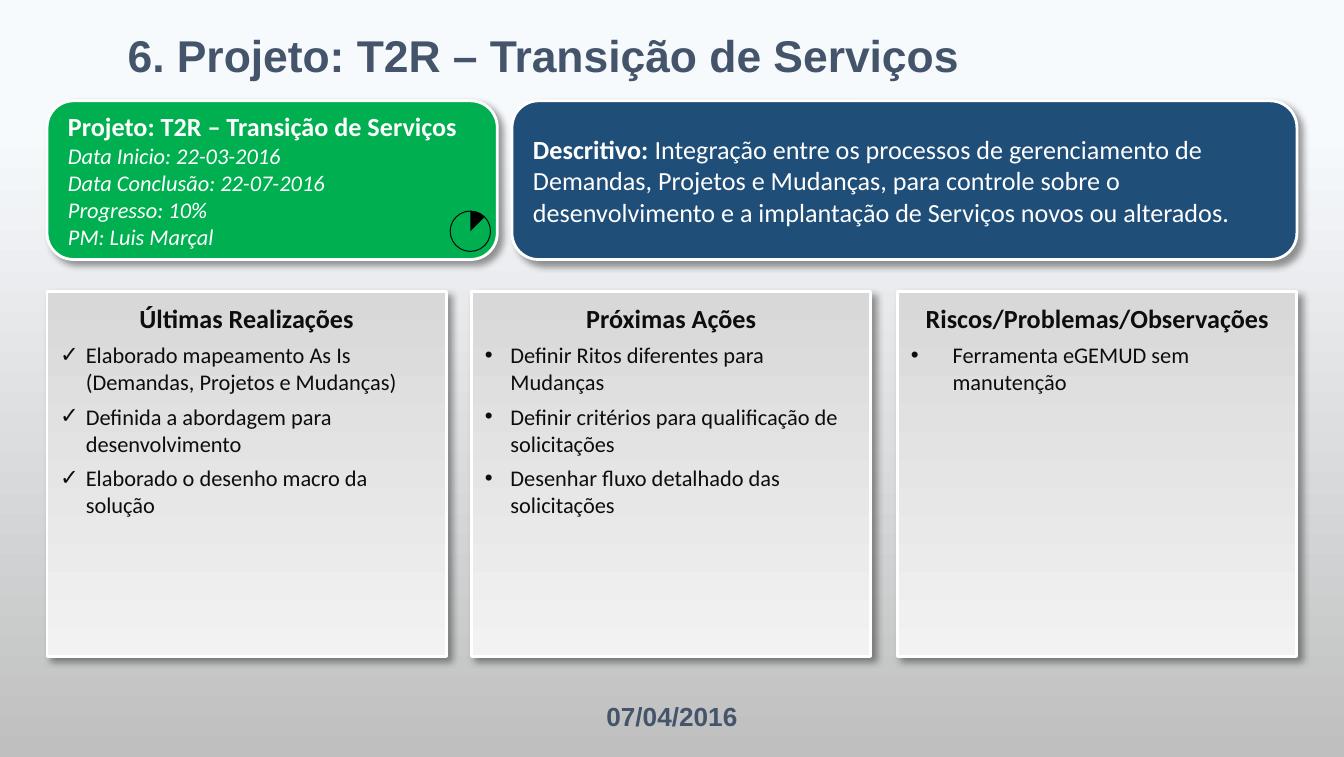
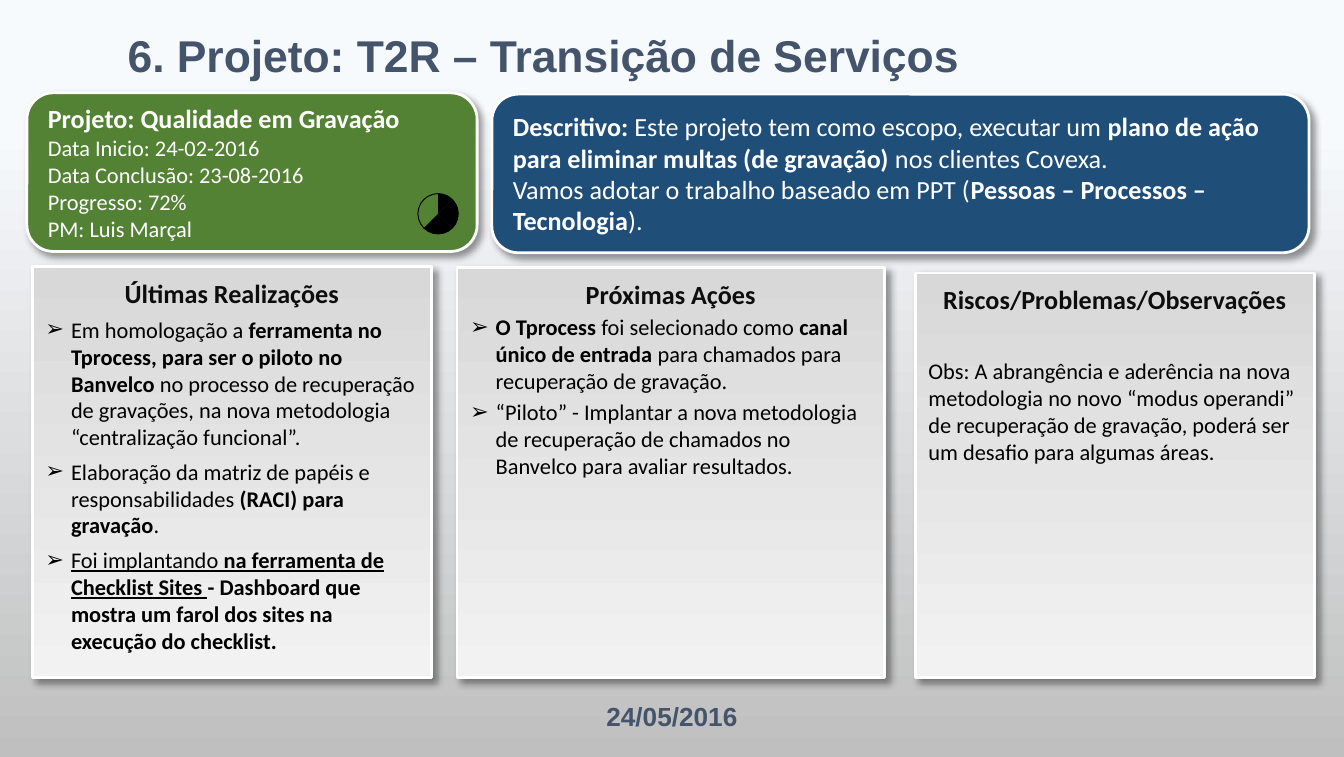
from math import cos, radians, sin

from lxml import etree
from pptx import Presentation
from pptx.dml.color import RGBColor
from pptx.enum.shapes import MSO_SHAPE
from pptx.enum.text import MSO_ANCHOR, PP_ALIGN
from pptx.oxml.ns import qn
from pptx.util import Inches, Pt

RECT, ROUND, OVAL = MSO_SHAPE.RECTANGLE, MSO_SHAPE.ROUNDED_RECTANGLE, MSO_SHAPE.OVAL
TOP, MIDDLE = MSO_ANCHOR.TOP, MSO_ANCHOR.MIDDLE
LEFT, CENTER = PP_ALIGN.LEFT, PP_ALIGN.CENTER

WHITE = RGBColor(0xFF, 0xFF, 0xFF)
BLACK = RGBColor(0x00, 0x00, 0x00)
INK = RGBColor(0x0D, 0x0D, 0x0D)
SLATE = RGBColor(0x44, 0x54, 0x6A)
NAVY = RGBColor(0x1F, 0x4E, 0x79)
GREEN = RGBColor(0x00, 0xB0, 0x50)
OLIVE = RGBColor(0x54, 0x82, 0x35)
BACKDROP = [(0.17, RGBColor(0xF7, 0xFA, 0xFD)), (1, RGBColor(0xBF, 0xBF, 0xBF))]
CARD_FILL = [(0, RGBColor(0xD8, 0xD8, 0xD8)), (1, RGBColor(0xF2, 0xF2, 0xF2))]

TITLE = "6. Projeto: T2R – Transição de Serviços"
TITLE_BOX = (0.62, 0.1, 6.84, 0.61)
DATE_BOX = (0, 5.02, 10, 0.61)
CARD_TITLES = ["Últimas Realizações", "Próximas Ações", "Riscos/Problemas/Observações"]
HEAD_SIZE, BODY_SIZE = 14, 12
GAP = 2            # points above and below each card paragraph
BALL = 0.3         # diameter of the progress ball
SLICE = 45         # degrees in one slice of the ball

# Content: a text is a list of (words, style) runs, style being any of b, i, u
SLIDES = [
    {
        "date": "07/04/2016",
        "project": {
            "box": (0.35, 0.75, 3.35, 1.18), "fill": GREEN, "style": "i",
            "name": "Projeto: T2R – Transição de Serviços",
            "facts": ["Data Inicio: 22-03-2016", "Data Conclusão: 22-07-2016",
                      "Progresso: 10%", "PM: Luis Marçal"],
        },
        "about": {
            "box": (3.81, 0.75, 5.84, 1.18),
            "texts": [[("Descritivo: ", "b"),
                       ("Integração entre os processos de gerenciamento de Demandas, "
                        "Projetos e Mudanças, para controle sobre o desenvolvimento e a "
                        "implantação de Serviços novos ou alterados.", "")]],
        },
        "ball": {"at": (3.35, 1.57), "slices": 1},
        "ink": INK,
        "cards": [
            {"box": (0.35, 2.17, 2.97, 2.71), "bullet": "✓", "indent": 0.19, "texts": [
                [("Elaborado mapeamento As Is (Demandas, Projetos e Mudanças)", "")],
                [("Definida a abordagem para desenvolvimento", "")],
                [("Elaborado o desenho macro da solução", "")]]},
            {"box": (3.51, 2.17, 2.97, 2.71), "bullet": "•", "indent": 0.19, "texts": [
                [("Definir Ritos diferentes para Mudanças", "")],
                [("Definir critérios para qualificação de solicitações", "")],
                [("Desenhar fluxo detalhado das solicitações", "")]]},
            {"box": (6.68, 2.17, 2.97, 2.71), "bullet": "•", "indent": 0.31, "texts": [
                [("Ferramenta eGEMUD sem manutenção", "")]]},
        ],
    },
    {
        "date": "24/05/2016",
        "project": {
            "box": (0.2, 0.69, 3.35, 1.18), "fill": OLIVE, "style": "",
            "name": "Projeto: Qualidade em Gravação",
            "facts": ["Data Inicio: 24-02-2016", "Data Conclusão: 23-08-2016",
                      "Progresso: 72%", "PM: Luis Marçal"],
        },
        "about": {
            "box": (3.66, 0.7, 6.08, 1.18),
            "texts": [
                [("Descritivo: ", "b"),
                 ("Este projeto tem como escopo, executar um ", ""),
                 ("plano de ação para eliminar multas (de gravação)", "b"),
                 (" nos clientes Covexa.", "")],
                [("Vamos adotar o trabalho baseado em PPT (", ""),
                 ("Pessoas – Processos – Tecnologia", "b"), (").", "")]],
        },
        "ball": {"at": (3.11, 1.44), "slices": 5},
        "ink": BLACK,
        "cards": [
            {"box": (0.24, 1.98, 2.97, 3.06), "bullet": "➢", "indent": 0.19, "texts": [
                [("Em homologação a ", ""),
                 ("ferramenta no Tprocess, para ser o piloto no Banvelco ", "b"),
                 ("no processo de recuperação de gravações, na nova metodologia "
                  "“centralização funcional”.", "")],
                [("Elaboração da matriz de papéis e responsabilidades ", ""),
                 ("(RACI) para gravação", "b"), (".", "")],
                [("Foi implantando ", "u"), ("na ferramenta de Checklist Sites ", "bu"),
                 ("- Dashboard que mostra um farol dos sites na execução do checklist.",
                  "b")]]},
            {"box": (3.4, 1.99, 3.18, 3.05), "bullet": "➢", "indent": 0.19,
             "first_gap": (0, 0), "texts": [
                [("O Tprocess ", "b"), ("foi selecionado como ", ""),
                 ("canal único de entrada ", "b"),
                 ("para chamados para recuperação de gravação.", "")],
                [("“Piloto” - Implantar a nova metodologia de recuperação de chamados no "
                  "Banvelco para avaliar resultados.", "")]]},
            {"box": (6.81, 2.03, 2.97, 3.01), "first_gap": (20.6, GAP), "texts": [
                [("Obs: A abrangência e aderência na nova metodologia no novo “modus "
                  "operandi” de recuperação de gravação, poderá ser um desafio para "
                  "algumas áreas.", "")]]},
        ],
    },
]


def set_gradient(fill, stops):
    fill.gradient()
    fill.gradient_angle = 270
    for stop, (position, color) in zip(fill.gradient_stops, stops):
        stop.position = position
        stop.color.rgb = color


def add_shadow(sp):
    sp.shadow.inherit = False
    effects = sp._element.spPr.find(qn("a:effectLst"))
    shadow = etree.SubElement(effects, qn("a:outerShdw"), blurRad=str(Pt(4)),
                              dist=str(Pt(3)), dir=str(45 * 60000), rotWithShape="0")
    color = etree.SubElement(shadow, qn("a:srgbClr"), val=str(BLACK))
    etree.SubElement(color, qn("a:alpha"), val="40000")


def add_panel(s, kind, box, anchor):
    """White-edged panel with a soft shadow; returns its shape."""
    sp = s.shapes.add_shape(kind, *map(Inches, box))
    add_shadow(sp)
    sp.line.color.rgb = WHITE
    sp.line.width = Pt(1.5)
    sp.text_frame.word_wrap = True
    sp.text_frame.vertical_anchor = anchor
    return sp


def add_bullet(p, char, indent):
    pPr = p._p.get_or_add_pPr()
    pPr.set("marL", str(Inches(indent)))
    pPr.set("indent", str(-Inches(indent)))
    etree.SubElement(pPr, qn("a:buFont"), typeface="Arial")
    etree.SubElement(pPr, qn("a:buChar"), char=char)


def write(tf, runs, size, color, align=LEFT, font="Calibri", gap=(0, 0)):
    """Append one paragraph, using the empty first one when there is one."""
    p = tf.paragraphs[0] if not tf.paragraphs[0].runs else tf.add_paragraph()
    p.alignment = align
    p.space_before, p.space_after = map(Pt, gap)
    for words, style in runs:
        r = p.add_run()
        r.text = words
        look = {"name": font, "size": Pt(size), "bold": "b" in style,
                "italic": "i" in style, "underline": "u" in style}
        for key, value in look.items():
            setattr(r.font, key, value)
        r.font.color.rgb = color
    return p


def add_label(s, box, words, size):
    tf = s.shapes.add_textbox(*map(Inches, box)).text_frame
    tf.word_wrap = True
    tf.vertical_anchor = MIDDLE
    write(tf, [(words, "b")], size, SLATE, CENTER, "Arial")


def add_card(s, title, card, ink):
    sp = add_panel(s, RECT, card["box"], TOP)
    set_gradient(sp.fill, CARD_FILL)
    tf = sp.text_frame
    tf.margin_top = Inches(0.08)
    write(tf, [(title, "b")], HEAD_SIZE, INK, CENTER, gap=(0, GAP))
    for i, runs in enumerate(card["texts"]):
        gap = card.get("first_gap", (GAP, GAP)) if i == 0 else (GAP, GAP)
        p = write(tf, runs, BODY_SIZE, ink, gap=gap)
        if "bullet" in card:
            add_bullet(p, card["bullet"], card["indent"])


def add_project(s, project):
    sp = add_panel(s, ROUND, project["box"], MIDDLE)
    sp.fill.solid()
    sp.fill.fore_color.rgb = project["fill"]
    write(sp.text_frame, [(project["name"], "b")], HEAD_SIZE, WHITE)
    for fact in project["facts"]:
        write(sp.text_frame, [(fact, project["style"])], BODY_SIZE, WHITE)


def add_about(s, about):
    sp = add_panel(s, ROUND, about["box"], MIDDLE)
    sp.fill.solid()
    sp.fill.fore_color.rgb = NAVY
    for runs in about["texts"]:
        write(sp.text_frame, runs, HEAD_SIZE, WHITE)


def add_ball(s, at, slices):
    """Progress ball: an outlined circle with black slices, clockwise from the top."""
    group = s.shapes.add_group_shape()
    left, top = at
    circle = group.shapes.add_shape(OVAL, *map(Inches, (left, top, BALL, BALL)))
    circle.shadow.inherit = False
    circle.fill.background()
    circle.line.color.rgb = BLACK
    circle.line.width = Pt(0.5)
    radius = BALL / 2
    cx, cy = left + radius, top + radius
    for i in range(slices):
        angles = [radians(a) for a in range(i * SLICE, (i + 1) * SLICE + 1, 5)]
        arc = [(Inches(cx + radius * sin(a)), Inches(cy - radius * cos(a))) for a in angles]
        outline = group.shapes.build_freeform(Inches(cx), Inches(cy))
        outline.add_line_segments(arc, close=True)
        wedge = outline.convert_to_shape()
        wedge.shadow.inherit = False
        wedge.fill.solid()
        wedge.fill.fore_color.rgb = BLACK
        wedge.line.fill.background()


def main():
    prs = Presentation()
    prs.slide_width, prs.slide_height = Inches(10), Inches(5.63)
    for data in SLIDES:
        s = prs.slides.add_slide(prs.slide_layouts[6])
        set_gradient(s.background.fill, BACKDROP)
        add_label(s, TITLE_BOX, TITLE, 23.8)
        add_label(s, DATE_BOX, data["date"], 14)
        for i, (title, card) in enumerate(zip(CARD_TITLES, data["cards"])):
            add_card(s, title, card, data["ink"])
            if i == 0:
                add_project(s, data["project"])
        add_about(s, data["about"])
        add_ball(s, **data["ball"])
    prs.save("out.pptx")


if __name__ == "__main__":
    main()
